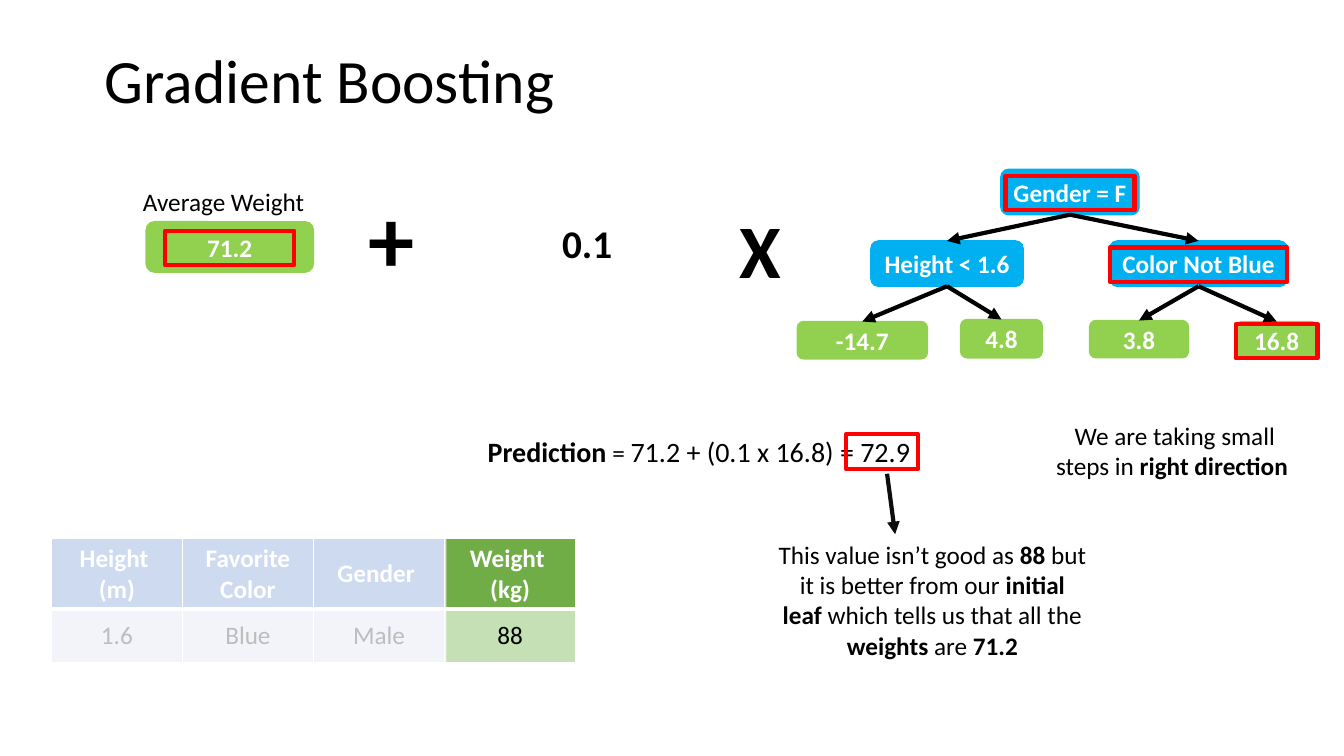
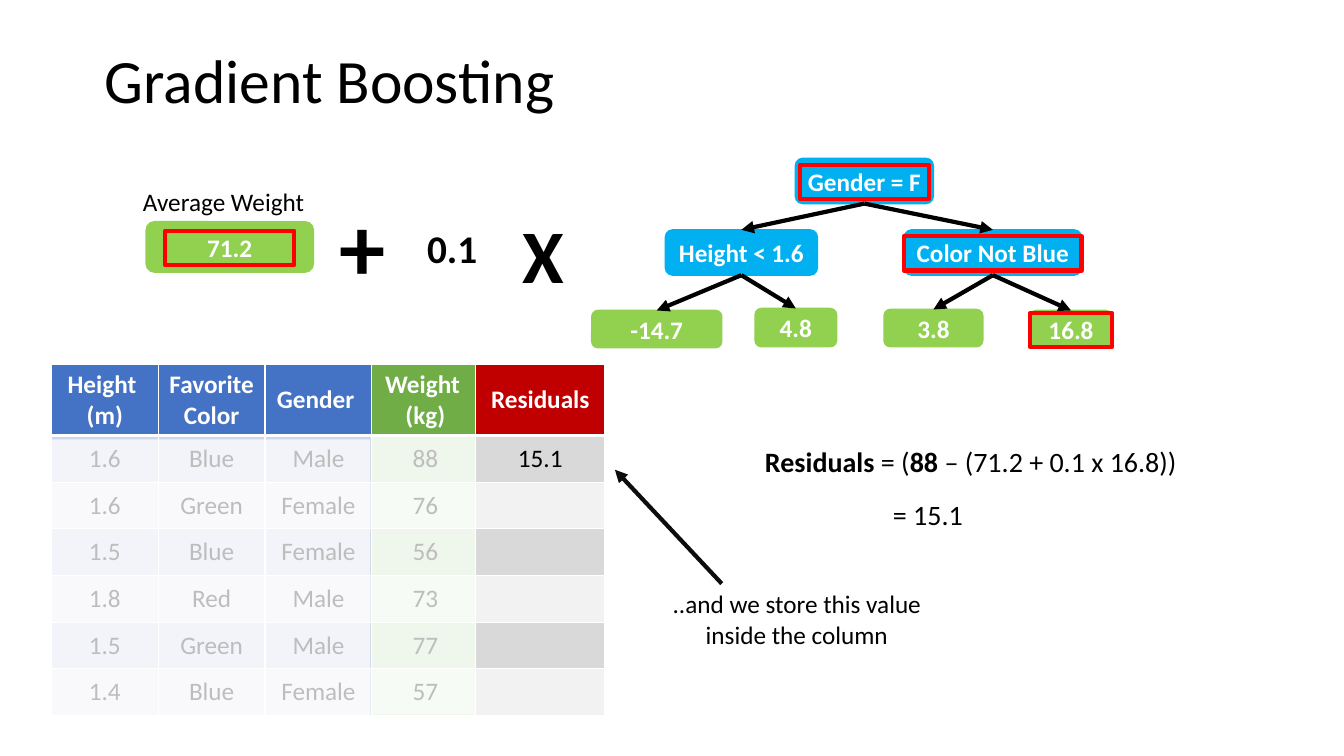
from dataclasses import dataclass

from lxml import etree
from pptx import Presentation
from pptx.dml.color import RGBColor
from pptx.enum.shapes import MSO_CONNECTOR, MSO_SHAPE
from pptx.enum.text import MSO_ANCHOR, PP_ALIGN
from pptx.oxml.ns import qn
from pptx.util import Inches, Pt

LEFT, CENTER = PP_ALIGN.LEFT, PP_ALIGN.CENTER
TOP, MIDDLE = MSO_ANCHOR.TOP, MSO_ANCHOR.MIDDLE
RECTANGLE, ROUNDED = MSO_SHAPE.RECTANGLE, MSO_SHAPE.ROUNDED_RECTANGLE
STRAIGHT = MSO_CONNECTOR.STRAIGHT
BOTTOM_SITE, TOP_SITE = 2, 0
BLANK_LAYOUT = 6

# One grid step, for columns and rows alike; every length below counts steps.
STEP = Inches(0.1)
COLUMNS, ROWS = 133.33, 75


@dataclass(frozen=True)
class Theme:
    font: str = "Calibri"
    ink: str = "000000"
    paper: str = "FFFFFF"
    arrow: str = "0D0D0D"
    question: str = "00B0F0"
    leaf: str = "92D050"
    mark: str = "FF0000"
    # Table colours: header, odd rows, even rows
    feature: tuple = ("4472C4", "CFD5EA", "E9EBF5")
    target: tuple = ("70AD47", "C5E0B4", "E2F0D9")
    residual: tuple = ("C00000", "D9D9D9", "F2F2F2")
    body: int = 18
    formula: int = 20
    rate: int = 28
    title: int = 44
    times: int = 54
    plus: int = 66
    thin: int = 1
    thick: int = 3
    veil_opacity: int = 74


THEME = Theme()

# Text, left, top, width, height (from the tree's corner), colour
TREE_NODES = {
    "root": ("Gender = F", 20.2, 0, 13.7, 4.5, THEME.question),
    "right": ("Color Not Blue ", 31, 7.1, 17.6, 4.5, THEME.question),
    "left": ("Height < 1.6", 7.3, 7.1, 15.1, 4.5, THEME.question),
    "left leaf 1": ("-14.7", 0, 15.1, 12.9, 3.7, THEME.leaf),
    "left leaf 2": ("4.8", 16.2, 14.9, 8.1, 3.8, THEME.leaf),
    "right leaf 1": ("3.8", 29, 15, 9.8, 3.7, THEME.leaf),
    "right leaf 2": ("16.8", 43.5, 15.1, 8.1, 3.7, THEME.leaf),
}
TREE_BRANCHES = [
    ("root", "left"), ("root", "right"),
    ("left", "left leaf 1"), ("left", "left leaf 2"),
    ("right", "right leaf 1"), ("right", "right leaf 2"),
]
MARKED_PATH = {"root": 12.8, "right": 17.6, "right leaf 2": 8.1}

HEADER = ["Height \n(m)", "Favorite\nColor", "Gender ", "Weight \n(kg)"]
PEOPLE = [
    ["1.6", "Blue", "Male", "88"],
    ["1.6", "Green", "Female", "76"],
    ["1.5", "Blue", "Female", "56"],
    ["1.8", "Red", "Male", "73"],
    ["1.5", "Green", "Male", "77"],
    ["1.4", "Blue", "Female", "57"],
]
PEOPLE_COLORS = [THEME.feature] * 3 + [THEME.target]


def steps(*counts):
    return [round(count * STEP) for count in counts]


def write(frame, text, size=THEME.body, color=THEME.ink, bold=False,
          align=CENTER, anchor=TOP, spacing=None):
    """Fill a text frame; ** toggles bold, ~ toggles body size, a newline starts a paragraph."""
    frame.word_wrap = True
    frame.vertical_anchor = anchor
    for number, line in enumerate(text.split("\n")):
        para = frame.add_paragraph() if number else frame.paragraphs[0]
        para.alignment = align
        para.line_spacing = spacing
        for turn, part in enumerate(line.split("**")):
            for dip, words in enumerate(part.split("~")):
                if not words:
                    continue
                span = para.add_run()
                span.text = words
                span.font.name = THEME.font
                span.font.size = Pt(THEME.body if dip % 2 else size)
                span.font.bold = bold or turn % 2 == 1
                span.font.color.rgb = RGBColor.from_string(color)


def set_border(cell, side, width):
    line = etree.SubElement(cell._tc.get_or_add_tcPr(), qn(f"a:ln{side}"), w=str(Pt(width)))
    fill = etree.SubElement(line, qn("a:solidFill"))
    etree.SubElement(fill, qn("a:srgbClr"), val=THEME.paper)


class Page:
    """One slide in the deck's style."""

    def __init__(self, deck, title):
        self.shapes = deck.slides.add_slide(deck.slide_layouts[BLANK_LAYOUT]).shapes
        self.text(title, 9.4, 1, 86.3, 14.5, size=THEME.title, align=LEFT,
                  anchor=MIDDLE, spacing=0.9)

    def text(self, words, left, top, width, height, **style):
        box = self.shapes.add_textbox(*steps(left, top, width, height))
        write(box.text_frame, words, **style)

    def shape(self, kind, place, fill=None, line=None, weight=THEME.thin):
        shape = self.shapes.add_shape(kind, *steps(*place))
        shape.shadow.inherit = False
        if fill:
            shape.fill.solid()
            shape.fill.fore_color.rgb = RGBColor.from_string(fill)
        else:
            shape.fill.background()
        if line:
            shape.line.color.rgb = RGBColor.from_string(line)
            shape.line.width = Pt(weight)
        else:
            shape.line.fill.background()
        return shape

    def node(self, words, left, top, width, height, color):
        node = self.shape(ROUNDED, (left, top, width, height), color, color)
        write(node.text_frame, words, color=THEME.paper, bold=True, anchor=MIDDLE)
        return node

    def mark(self, left, top, width, height):
        self.shape(RECTANGLE, (left, top, width, height), line=THEME.mark, weight=THEME.thick)

    def mark_inside(self, left, top, width, height, mark_width):
        """Frame the middle of a node."""
        mark_height = 3.4
        self.mark(left + (width - mark_width) / 2, top + (height - mark_height) / 2 + 0.1,
                  mark_width, mark_height)

    def veil(self, *place):
        """Fade what lies below."""
        veil = self.shape(RECTANGLE, place, THEME.paper)
        color = veil.fill._xPr.find(qn("a:solidFill"))[0]
        etree.SubElement(color, qn("a:alpha"), val=str(THEME.veil_opacity * 1000))

    def arrow(self, start=(0, 0), end=(0, 0), color=THEME.arrow):
        arrow = self.shapes.add_connector(STRAIGHT, *steps(*start, *end))
        arrow.line.color.rgb = RGBColor.from_string(color)
        arrow.line.width = Pt(THEME.thick)
        etree.SubElement(arrow.line._get_or_add_ln(), qn("a:tailEnd"), type="triangle")
        etree.SubElement(arrow._element.spPr, qn("a:effectLst"))
        return arrow

    def table(self, left, top, column_width, row_heights, rows, colors):
        place = steps(left, top, column_width * len(colors), sum(row_heights))
        table = self.shapes.add_table(len(rows), len(colors), *place).table
        table.first_row = table.horz_banding = False
        for column in table.columns:
            column.width = steps(column_width)[0]
        for r, (height, values) in enumerate(zip(row_heights, rows)):
            table.rows[r].height = steps(height)[0]
            for c, (value, (head, odd, even)) in enumerate(zip(values, colors)):
                cell = table.cell(r, c)
                for side in "LRTB":
                    below_head = (r == 0 and side == "B") or (r == 1 and side == "T")
                    set_border(cell, side, THEME.thick if below_head else THEME.thin)
                cell.fill.solid()
                fill = head if r == 0 else odd if r % 2 else even
                cell.fill.fore_color.rgb = RGBColor.from_string(fill)
                write(cell.text_frame, value, bold=r == 0,
                      color=THEME.ink if r else THEME.paper)
                cell.vertical_anchor = MIDDLE

    def tree(self, left, top):
        places = {name: (left + x, top + y, width, height)
                  for name, (_, x, y, width, height, _) in TREE_NODES.items()}
        nodes = {name: self.node(node[0], *places[name], node[-1])
                 for name, node in TREE_NODES.items()}
        for parent, child in TREE_BRANCHES:
            branch = self.arrow(color=THEME.ink)
            branch.begin_connect(nodes[parent], BOTTOM_SITE)
            branch.end_connect(nodes[child], TOP_SITE)
        for name, width in MARKED_PATH.items():
            self.mark_inside(*places[name], width)

    def model(self, plus, rate, times, tree):
        """Average weight + learning rate X tree; each place is a corner, rate adds a width."""
        average = (14.5, 22, 16.6, 5)
        self.node("71.2", *average, THEME.leaf)
        self.mark_inside(*average, 12.8)
        self.text("Average Weight", 13.2, 18, 19.1, 4, align=LEFT)
        self.text("+", *plus, 7, 12.1, size=THEME.plus, bold=True)
        self.text("0.1", *rate, 5.7, size=THEME.rate, bold=True)
        self.text("X", *times, 7, 10.1, size=THEME.times, bold=True)
        self.tree(*tree)


def prediction_page(deck):
    page = Page(deck, "Gradient Boosting")
    page.table(5.1, 53.4, 13, [7, 5.3], [HEADER, PEOPLE[0]], PEOPLE_COLORS)
    page.veil(4.3, 53.4, 40, 12.3)
    page.model(plus=(35.3, 17.5), rate=(43.3, 21.3, 29.9), times=(71.9, 19.6),
               tree=(79.1, 16.8))
    page.text("**Prediction**~ = ~71.2 + (0.1 x 16.8) = 72.9", 46.8, 42.6, 45.1, 4.4,
              size=THEME.formula)
    page.mark(83.9, 43.1, 7.2, 3.4)
    page.arrow((88, 47), (88.8, 53))
    page.text("This value isn’t good as **88** but it is better from our **initial leaf **"
              "which tells us that all the **weights** are **71.2**", 76.2, 53, 32.6, 13.1)
    page.text("We are taking small steps in **right direction **", 103.5, 41.2, 26.1, 7.1)


def residual_page(deck):
    page = Page(deck, "Gradient Boosting")
    heights = [7] + [4.63] * len(PEOPLE)
    residuals = [["Residuals"], ["15.1"]] + [[""]] * (len(PEOPLE) - 1)
    page.table(5.1, 36.2, 10.6, heights, [HEADER] + PEOPLE, PEOPLE_COLORS)
    page.table(47.2, 36.2, 12.8, heights, residuals, [THEME.residual])
    page.veil(5.1, 43.6, 31.6, 27.4)
    page.veil(36.8, 43.1, 10.4, 27.8)
    page.model(plus=(32.5, 18.3), rate=(40.8, 21.8, 8.1), times=(50.4, 20.1),
               tree=(58.7, 15.7))
    page.text("**Residuals** = (**88** – (71.2 + 0.1 x 16.8))", 74.9, 43.6, 51.5, 4.4,
              size=THEME.formula, align=LEFT)
    page.text("= 15.1", 87.6, 48.9, 15.3, 4.4, size=THEME.formula, align=LEFT)
    page.text("..and we store this value inside the column", 65.5, 57.9, 27.1, 7.1)
    page.arrow((71.6, 57.9), (61, 46.6))


def main():
    deck = Presentation()
    deck.slide_width, deck.slide_height = steps(COLUMNS, ROWS)
    prediction_page(deck)
    residual_page(deck)
    deck.save("out.pptx")


if __name__ == "__main__":
    main()
